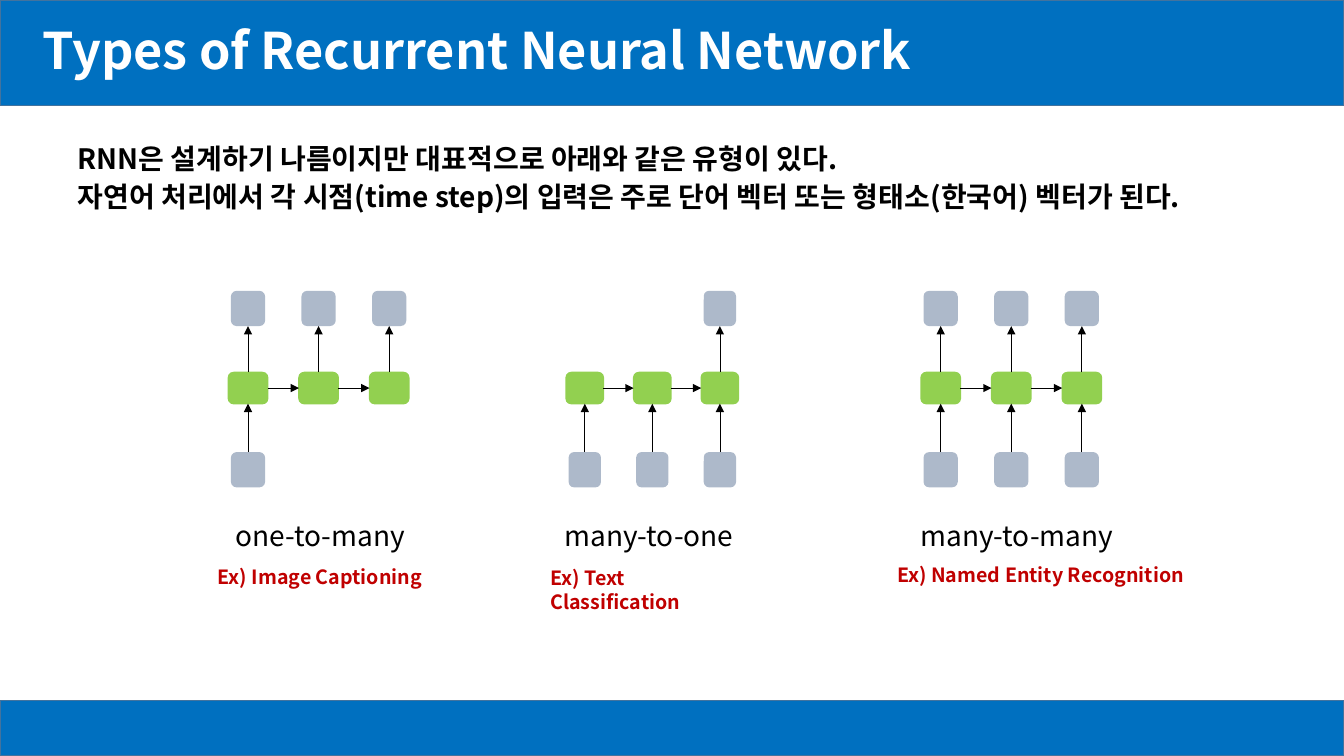
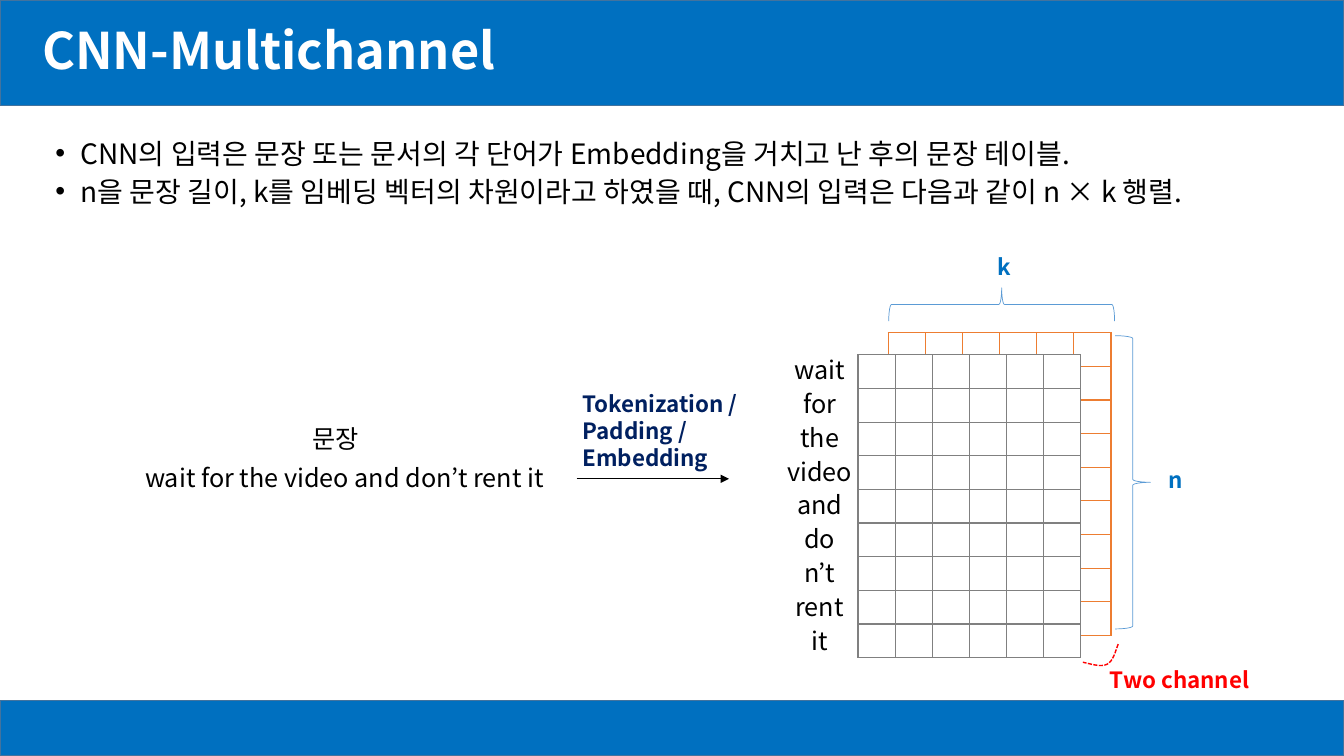
from dataclasses import dataclass
from typing import Any

import lxml.etree
import pptx
import pptx.dml.color
import pptx.enum.dml
import pptx.enum.shapes
import pptx.enum.text
import pptx.oxml.ns
import pptx.util

RGB = pptx.dml.color.RGBColor
Inches = pptx.util.Inches
Pt = pptx.util.Pt
Kind = pptx.enum.shapes.MSO_SHAPE
Align = pptx.enum.text.PP_ALIGN
Anchor = pptx.enum.text.MSO_ANCHOR
qn = pptx.oxml.ns.qn

FONT = "Noto Sans CJK KR"
BLUE = RGB(0x00, 0x70, 0xC0)
EDGE = RGB(0x43, 0x73, 0x9E)
WHITE = RGB(0xFF, 0xFF, 0xFF)
BLACK = RGB(0x00, 0x00, 0x00)
GREEN = RGB(0x92, 0xD0, 0x50)
STEEL = RGB(0xAD, 0xB9, 0xCA)
WINE = RGB(0xC0, 0x00, 0x00)
NAVY = RGB(0x00, 0x20, 0x60)
RED = RGB(0xFF, 0x00, 0x00)
SKY = RGB(0x5B, 0x9B, 0xD5)
ORANGE = RGB(0xED, 0x7D, 0x31)
GREY = RGB(0x80, 0x80, 0x80)

TOP_Y, MID_Y, LOW_Y = 3.06, 3.85, 4.66


@dataclass
class Box:
    x: float
    y: float
    w: float
    h: float


@dataclass
class Net:
    x: float
    step: float
    size: float
    ins: tuple[int, ...]
    outs: tuple[int, ...]
    name: str
    label: Box
    note: str
    hint: Box


@dataclass
class Word:
    text: str
    box: Box
    size: int = 18
    color: RGB = BLACK
    bold: bool = False


@dataclass
class Grid:
    x: float
    y: float
    color: RGB


NETS = [
    Net(2.46, 0.7, 0.39, (0,), (0, 1, 2),
        "one-to-many", Box(2.24, 5.09, 3.16, 0.44),
        "Ex) Image Captioning", Box(2.06, 5.56, 2.82, 0.34)),
    Net(5.8, 0.67, 0.37, (0, 1, 2), (2,),
        "many-to-one", Box(5.5, 5.09, 3.16, 0.44),
        "Ex) Text Classification", Box(5.36, 5.57, 2.21, 0.34)),
    Net(9.33, 0.7, 0.39, (0, 1, 2), (0, 1, 2),
        "many-to-many", Box(9.03, 5.09, 3.16, 0.44),
        "Ex) Named Entity Recognition", Box(8.8, 5.54, 3.07, 0.34)),
]

TOKENS = ["wait", "for", "the", "video", "and", "do", "n’t", "rent", "it"]
WORDS = [
    Word("wait for the video and don’t rent it", Box(1.34, 4.54, 5.49, 0.4)),
    Word("문장", Box(3, 4.15, 2.28, 0.4)),
    Word("Tokenization /\nPadding /\nEmbedding", Box(5.68, 3.82, 3.03, 0.91),
         16, NAVY, True),
    Word("n", Box(11.49, 4.58, 1.5, 0.37), 16, BLUE, True),
    Word("k", Box(9.8, 2.46, 0.8, 0.37), 16, BLUE, True),
    Word("Two channel", Box(10.91, 6.56, 1.94, 0.37), 16, RED, True),
]
GRIDS = [Grid(8.81, 3.3, ORANGE), Grid(8.51, 3.52, GREY)]
CURVE = [
    ((11.09, 6.39), (11.06, 6.47), (11.04, 6.56), (10.98, 6.59)),
    ((10.98, 6.59), (10.92, 6.62), (10.83, 6.59), (10.74, 6.57)),
]


def add_text(slide: Any, text: str, box: Box, *, size: int = 18,
             color: RGB = BLACK, bold: bool = False, align: Any = Align.LEFT,
             anchor: Any = Anchor.TOP, line: float = 1.0, after: float = 0,
             dots: bool = False) -> None:
    shape = slide.shapes.add_textbox(
        Inches(box.x), Inches(box.y), Inches(box.w), Inches(box.h))
    frame = shape.text_frame
    frame.word_wrap = True
    frame.vertical_anchor = anchor
    for i, part in enumerate(text.split("\n")):
        para = frame.paragraphs[0] if i == 0 else frame.add_paragraph()
        para.alignment = align
        para.line_spacing = line
        para.space_after = Pt(after)
        run = para.add_run()
        run.text = part
        run.font.size = Pt(size)
        run.font.bold = bold
        run.font.color.rgb = color
        run.font.name = FONT
        lxml.etree.SubElement(run._r.get_or_add_rPr(), qn("a:ea"), typeface=FONT)
        if dots:
            prop = para._p.get_or_add_pPr()
            prop.set("marL", str(Inches(0.25)))
            prop.set("indent", str(Inches(-0.25)))
            lxml.etree.SubElement(prop, qn("a:buFont"), typeface="Arial")
            lxml.etree.SubElement(prop, qn("a:buChar"), char="•")


def add_box(slide: Any, kind: Any, box: Box, fill: RGB | None = None,
            edge: RGB | None = None, width: float = 1) -> Any:
    shape = slide.shapes.add_shape(
        kind, Inches(box.x), Inches(box.y), Inches(box.w), Inches(box.h))
    shape.shadow.inherit = False
    if fill is None:
        shape.fill.background()
    else:
        shape.fill.solid()
        shape.fill.fore_color.rgb = fill
    if edge is None:
        shape.line.fill.background()
    else:
        shape.line.color.rgb = edge
        shape.line.width = Pt(width)
    return shape


def add_arrow(slide: Any, x: float = 0, y: float = 0, end: float = 0) -> Any:
    arrow = slide.shapes.add_connector(
        pptx.enum.shapes.MSO_CONNECTOR.STRAIGHT,
        Inches(x), Inches(y), Inches(end), Inches(y))
    arrow.line.color.rgb = BLACK
    arrow.line.width = Pt(0.5)
    lxml.etree.SubElement(
        arrow.line._get_or_add_ln(), qn("a:tailEnd"), type="triangle")
    lxml.etree.SubElement(arrow._element.spPr, qn("a:effectLst"))
    return arrow


def join(slide: Any, start: Any, out: int, stop: Any, into: int) -> None:
    arrow = add_arrow(slide)
    arrow.begin_connect(start, out)
    arrow.end_connect(stop, into)


def add_node(slide: Any, x: float, y: float, w: float, h: float,
             fill: RGB, edge: RGB | None = None) -> Any:
    return add_box(slide, Kind.ROUNDED_RECTANGLE,
                   Box(x - w / 2, y - h / 2, w, h), fill, edge)


def add_net(slide: Any, net: Net) -> None:
    cells = []
    for i in range(3):
        x = net.x + i * net.step
        cell = add_node(slide, x, MID_Y, net.size, 0.31, GREEN, GREEN)
        if cells:
            join(slide, cells[-1], 3, cell, 1)
        cells.append(cell)
        if i in net.ins:
            low = add_node(slide, x, LOW_Y, net.size - 0.05, 0.35, STEEL)
            join(slide, low, 0, cell, 2)
        if i in net.outs:
            top = add_node(slide, x, TOP_Y, net.size - 0.05, 0.35, STEEL)
            join(slide, cell, 0, top, 2)
    add_text(slide, net.name, net.label, size=20)
    add_text(slide, net.note, net.hint, size=14, color=WINE, bold=True)


def add_grid(slide: Any, grid: Grid) -> None:
    table = slide.shapes.add_table(
        9, 6, Inches(grid.x), Inches(grid.y), Inches(2.21), Inches(3)).table
    table.first_row = False
    table.horz_banding = False
    for cell in table.iter_cells():
        prop = cell._tc.get_or_add_tcPr()
        for side in ("a:lnL", "a:lnR", "a:lnT", "a:lnB"):
            line = lxml.etree.SubElement(prop, qn(side), w=str(Pt(1)))
            fill = lxml.etree.SubElement(line, qn("a:solidFill"))
            lxml.etree.SubElement(fill, qn("a:srgbClr"), val=str(grid.color))
        cell.fill.solid()
        cell.fill.fore_color.rgb = WHITE
        mark = lxml.etree.SubElement(
            cell.text_frame.paragraphs[0]._p, qn("a:endParaRPr"), sz="1400")
        for face in ("a:latin", "a:ea"):
            lxml.etree.SubElement(mark, qn(face), typeface=FONT)


def add_curve(slide: Any) -> None:
    spots = []
    for a, b, c, d in CURVE:
        for i in range(1, 9):
            t = i / 8
            u = 1 - t
            spots.append(tuple(
                Inches(u**3 * a[n] + 3 * u * u * t * b[n]
                       + 3 * u * t * t * c[n] + t**3 * d[n])
                for n in (0, 1)))
    x, y = CURVE[0][0]
    path = slide.shapes.build_freeform(Inches(x), Inches(y))
    path.add_line_segments(spots, close=False)
    shape = path.convert_to_shape()
    shape.shadow.inherit = False
    shape.fill.background()
    shape.line.color.rgb = RED
    shape.line.width = Pt(1)
    shape.line.dash_style = pptx.enum.dml.MSO_LINE.SQUARE_DOT


def add_slide(deck: Any, title: str) -> Any:
    slide = deck.slides.add_slide(deck.slide_layouts[6])
    for band in (Box(0, 6.95, 13.33, 0.55), Box(0, 0, 13.33, 1.05)):
        add_box(slide, Kind.RECTANGLE, band, BLUE, EDGE)
    add_text(slide, title, Box(0.32, 0.13, 11.5, 0.8), size=36, color=WHITE,
             bold=True, anchor=Anchor.MIDDLE, line=0.9)
    return slide


def draw_types(deck: Any) -> None:
    slide = add_slide(deck, "Types of Recurrent Neural Network")
    add_text(slide,
             "RNN은 설계하기 나름이지만 대표적으로 아래와 같은 유형이 있다.\n"
             "자연어 처리에서 각 시점(time step)의 입력은 주로 단어 벡터 또는 "
             "형태소(한국어) 벡터가 된다.",
             Box(0.67, 1.42, 12.66, 0.89), size=20, bold=True, line=0.8, after=8)
    for net in NETS:
        add_net(slide, net)


def draw_input(deck: Any) -> None:
    slide = add_slide(deck, "CNN-Multichannel")
    add_text(slide,
             "CNN의 입력은 문장 또는 문서의 각 단어가 Embedding을 거치고 난 후의 "
             "문장 테이블.\n"
             "n을 문장 길이, k를 임베딩 벡터의 차원이라고 하였을 때, CNN의 입력은 "
             "다음과 같이 n × k 행렬.",
             Box(0.45, 1.37, 12.88, 0.86), size=20, line=0.8, after=8, dots=True)
    for grid in GRIDS:
        add_grid(slide, grid)
    for i, token in enumerate(TOKENS):
        add_text(slide, token, Box(7.63, 3.47 + i * 2.68 / 8, 1, 0.4),
                 align=Align.CENTER)
    for word in WORDS:
        add_text(slide, word.text, word.box, size=word.size, color=word.color,
                 bold=word.bold)
    add_arrow(slide, 5.72, 4.75, 7.23)
    add_box(slide, Kind.RIGHT_BRACE, Box(11.06, 3.33, 0.35, 2.91), None, SKY, 0.5)
    brace = add_box(slide, Kind.RIGHT_BRACE, Box(9.77, 1.9, 0.33, 2.24),
                    None, SKY, 0.5)
    brace.rotation = 270
    add_curve(slide)


def main() -> None:
    deck = pptx.Presentation()
    deck.slide_width = Inches(13.33)
    deck.slide_height = Inches(7.5)
    draw_types(deck)
    draw_input(deck)
    deck.save("out.pptx")


if __name__ == "__main__":
    main()
